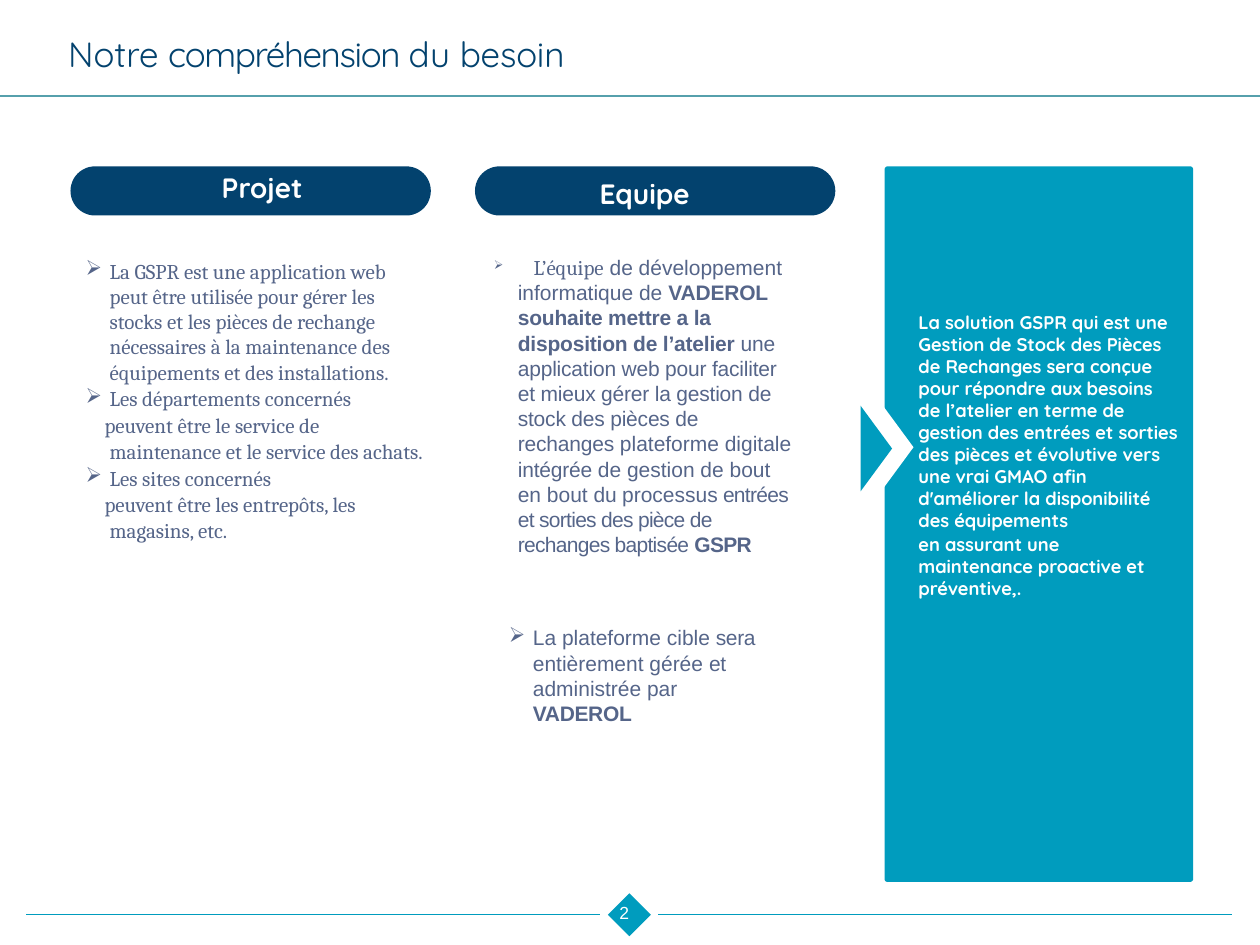
from dataclasses import dataclass

from lxml import etree
from pptx import Presentation
from pptx.dml.color import RGBColor
from pptx.enum.shapes import MSO_CONNECTOR, MSO_SHAPE
from pptx.enum.text import MSO_ANCHOR, PP_ALIGN
from pptx.oxml.ns import qn
from pptx.util import Inches, Pt

STRAIGHT = MSO_CONNECTOR.STRAIGHT
ROUNDED = MSO_SHAPE.ROUNDED_RECTANGLE
DIAMOND = MSO_SHAPE.DIAMOND
TOP = MSO_ANCHOR.TOP
LEFT = PP_ALIGN.LEFT


@dataclass(frozen=True)
class Theme:
    """Colours, fonts and type sizes of the deck."""
    navy: str = "03426E"
    teal: str = "009CBE"
    rule: str = "56A0AC"
    slate: str = "556589"
    white: str = "FFFFFF"
    display: str = "Quicksand"
    serif: str = "Cambria"
    sans: str = "Arial"
    mono: str = "DejaVu Sans Mono"
    title_size: float = 20
    heading_size: float = 16
    body_size: float = 12
    panel_size: float = 10.5
    number_size: float = 10
    spacer_size: float = 7


THEME = Theme()


@dataclass(frozen=True)
class Piece:
    """A stretch of text with one format."""
    text: str
    font: str = THEME.sans
    size: float = THEME.body_size
    color: str = THEME.slate
    bold: bool = False
    tracking: float = 0


def display_piece(text, size, color=THEME.white, bold=True, tracking=0):
    """Return a piece in the display font."""
    return Piece(text, THEME.display, size, color, bold, tracking)


def write_paragraph(paragraph, pieces, bullet=False, margin=0, indent=0):
    """Fill a paragraph with formatted pieces, with a bullet if asked."""
    paragraph.alignment = LEFT
    properties = paragraph._p.get_or_add_pPr()
    properties.set("marL", str(Inches(margin)))
    properties.set("indent", str(Inches(indent)))
    if bullet:
        etree.SubElement(properties, qn("a:buChar")).set("char", "➢")
    for piece in pieces:
        run = paragraph.add_run()
        run.text = piece.text
        run.font.name = piece.font
        run.font.size = Pt(piece.size)
        run.font.bold = piece.bold
        run.font.color.rgb = RGBColor.from_string(piece.color)
        if piece.tracking:
            run._r.get_or_add_rPr().set("spc", str(round(piece.tracking * 100)))


def prepare_frame(text_frame):
    """Set wrapping, anchor and insets of a text frame."""
    text_frame.word_wrap = True
    text_frame.vertical_anchor = TOP
    text_frame.margin_left = text_frame.margin_right = text_frame.margin_bottom = 0
    text_frame.margin_top = Inches(0.02)


def add_text(slide, box, paragraphs):
    """Add a text box holding (pieces, options) paragraphs."""
    text_frame = slide.shapes.add_textbox(*map(Inches, box)).text_frame
    prepare_frame(text_frame)
    for index, (pieces, options) in enumerate(paragraphs):
        paragraph = text_frame.add_paragraph() if index else text_frame.paragraphs[0]
        if index:
            paragraph.space_before = Pt(1)
        write_paragraph(paragraph, pieces, **options)


def paint(shape, color):
    """Give a shape a flat fill without line or shadow."""
    shape.shadow.inherit = False
    shape.fill.solid()
    shape.fill.fore_color.rgb = RGBColor.from_string(color)
    shape.line.fill.background()


def add_block(slide, kind, box, color):
    """Add a flat preset shape."""
    shape = slide.shapes.add_shape(kind, *map(Inches, box))
    paint(shape, color)
    return shape


def add_rule(slide, left, right, top, color, width):
    """Add a horizontal line."""
    ends = map(Inches, (left, top, right, top))
    connector = slide.shapes.add_connector(STRAIGHT, *ends)
    connector.line.color.rgb = RGBColor.from_string(color)
    connector.line.width = Pt(width)
    etree.SubElement(connector._element.spPr, qn("a:effectLst"))


def add_arrowhead(slide, box, color):
    """Add a triangle that points right."""
    left, top, width, height = box
    builder = slide.shapes.build_freeform(Inches(left), Inches(top))
    builder.add_line_segments([
        (Inches(left), Inches(top + height)),
        (Inches(left + width), Inches(top + height / 2)),
    ], close=True)
    paint(builder.convert_to_shape(), color)


def add_header(slide, box):
    """Place the title and the rule under it."""
    title = slide.shapes.title
    title.left, title.top, title.width, title.height = map(Inches, box)
    prepare_frame(title.text_frame)
    pieces = [
        display_piece(text, THEME.title_size, THEME.navy, False, tracking)
        for text, tracking in (
            ("Notre ", 0), ("compréhension ", -0.8), ("du ", 0), ("besoin", -0.1))
    ]
    write_paragraph(title.text_frame.paragraphs[0], pieces, margin=0.01)
    add_rule(slide, 0, 10, 0.76, THEME.rule, 1)


def add_heading(slide, box, text, offset):
    """Place a pill with its heading shifted by the offset."""
    add_block(slide, ROUNDED, box, THEME.navy).adjustments[0] = 0.5
    label_box = (box[0] + offset[0], box[1] + offset[1], 1.03, 0.28)
    pieces = [display_piece(text, THEME.heading_size)]
    add_text(slide, label_box, [(pieces, {"margin": 0.01})])


def add_project_column(slide, box):
    """Place the project heading and its list."""
    left, top, width, height = box
    add_heading(slide, (left, top, width, 0.39), "Projet", (1.19, 0.01))
    item = {"bullet": True, "margin": 0.2, "indent": -0.19}
    continuation = {"margin": 0.2, "indent": -0.04}
    lines = (
        ("La GSPR est une application web peut être utilisée pour gérer les "
         "stocks et les pièces de rechange nécessaires à la maintenance des "
         "équipements et des installations.", item),
        ("Les départements concernés", item),
        ("peuvent être le service de maintenance et le service des achats.", continuation),
        ("Les sites concernés", item),
        ("peuvent être les entrepôts, les magasins, etc.", continuation),
    )
    paragraphs = [([Piece(text, THEME.serif)], options) for text, options in lines]
    add_text(slide, (left + 0.11, top + 0.71, width - 0.14, height - 0.71), paragraphs)


def add_team_column(slide, box):
    """Place the team heading and its two notes."""
    left, top, width, height = box
    add_heading(slide, (left, top, width, 0.39), "Equipe", (0.98, 0.06))
    item = {"bullet": True, "margin": 0.2, "indent": -0.19}
    team = [
        Piece(" ", THEME.mono, THEME.spacer_size, tracking=4.8),
        Piece("L’équipe", THEME.serif),
        Piece(" de développement informatique de "),
        Piece("VADEROL souhaite mettre a la disposition de l’atelier ",
              bold=True, tracking=-0.1),
        Piece("une application web pour faciliter et mieux gérer la gestion "
              "de stock des pièces de rechanges ", tracking=-0.1),
        Piece("plateforme digitale "),
        Piece("intégrée ", tracking=-0.1),
        Piece("de gestion de bout en bout "),
        Piece("du ", tracking=-0.2),
        Piece("processus"),
        Piece(" entrées et sorties des pièce de rechanges baptisée ", tracking=-0.4),
        Piece("GSPR", bold=True, tracking=-0.4),
    ]
    platform = [
        Piece("La plateforme cible"),
        Piece(" sera ", tracking=-0.2),
        Piece("entièrement gérée "),
        Piece("et ", tracking=-0.2),
        Piece("administrée par "),
        Piece("VADEROL", bold=True, tracking=-0.2),
    ]
    add_text(slide, (left + 0.14, top + 0.68, 2.42, 2.44), [(team, item)])
    add_text(slide, (left + 0.26, top + height - 0.82, 2.06, 0.82), [(platform, item)])


def add_solution_panel(slide, box):
    """Place the solution panel, its arrow and its text."""
    left, top, width, height = box
    add_block(slide, ROUNDED, box, THEME.teal).adjustments[0] = 0.01
    add_arrowhead(slide, (left - 0.02, top + 1.89, 0.25, 0.68), THEME.white)
    add_arrowhead(slide, (left - 0.19, top + 1.9, 0.25, 0.68), THEME.teal)
    lines = (
        "La solution GSPR qui est une Gestion de Stock des Pièces de Rechanges "
        "sera conçue pour répondre aux besoins de l’atelier en terme de gestion "
        "des entrées et sorties des pièces et évolutive vers une vrai GMAO afin "
        "d'améliorer la disponibilité des équipements",
        "en assurant une maintenance proactive et préventive,.",
    )
    paragraphs = [([display_piece(text, THEME.panel_size)], {"margin": 0.01}) for text in lines]
    add_text(slide, (left + 0.26, top + 1.13, width - 0.38, 2.32), paragraphs)


def add_footer(slide, box):
    """Place the footer rules and the page number in its diamond."""
    left, top, width, height = box
    middle = top + height / 2
    center = left + width / 2
    for start, end in ((left, center - 0.23), (center + 0.23, left + width)):
        add_rule(slide, start, end, middle, THEME.teal, 0.75)
    add_block(slide, DIAMOND, (center - height / 2, top, height, height), THEME.teal)
    number = Piece("2", size=THEME.number_size, color=THEME.white, tracking=-0.2)
    add_text(slide, (center - 0.12, top + 0.05, 0.25, 0.18), [([number], {"margin": 0.04})])


def main():
    """Build the slide and save it."""
    presentation = Presentation()
    presentation.slide_width, presentation.slide_height = Inches(10), Inches(7.5)
    slide = presentation.slides.add_slide(presentation.slide_layouts[5])
    add_header(slide, (0.53, 0.24, 4.36, 0.36))
    add_project_column(slide, (0.56, 1.32, 2.86, 3.41))
    add_team_column(slide, (3.77, 1.32, 2.86, 4.44))
    add_solution_panel(slide, (7.02, 1.32, 2.45, 5.68))
    add_footer(slide, (0.21, 7.09, 9.57, 0.34))
    presentation.save("out.pptx")


if __name__ == "__main__":
    main()
